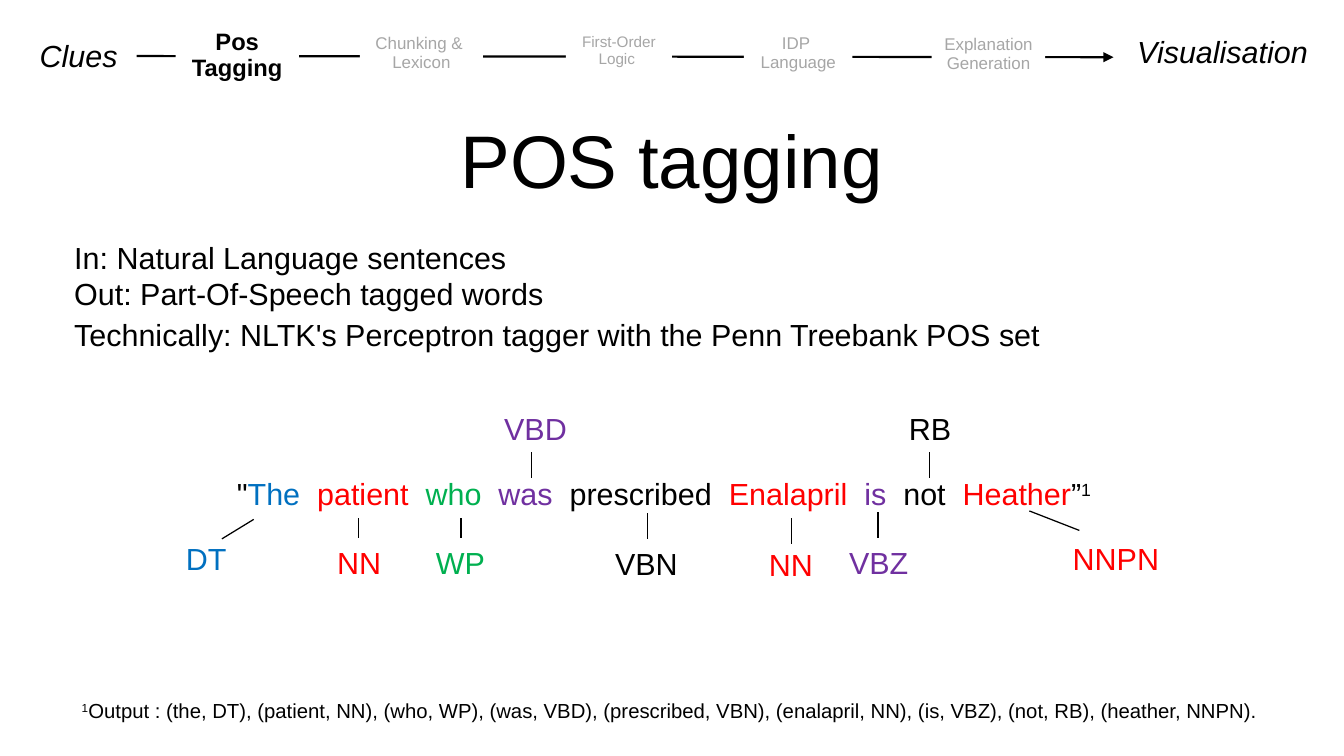
import pptx
import pptx.util
import pptx.dml.color
import pptx.enum.shapes
import pptx.enum.text
import pptx.oxml.ns
import lxml.etree

Pt = pptx.util.Pt
PP_ALIGN = pptx.enum.text.PP_ALIGN

THEME = {
    "font": "Arial",
    "black": "000000", "white": "FFFFFF", "muted": "A6A6A6",
    "blue": "0070C0", "red": "FF0000", "green": "00B050", "purple": "7030A0",
    "title": 44, "text": 18, "stage": 14, "later": 10, "note": 12,
    "spacing": 0.93, "indent": 8.64,
}


def write(sp, box, paragraphs, size, align=PP_ALIGN.LEFT, wrap=True, spacing=1.0, indent=0):
    """Place a shape and fill it with paragraphs of (text, colour, font options) runs."""
    sp.left, sp.top, sp.width, sp.height = [Pt(v) for v in box]
    tf = sp.text_frame
    tf.word_wrap = wrap
    tf.auto_size = pptx.enum.text.MSO_AUTO_SIZE.NONE
    tf.vertical_anchor = pptx.enum.text.MSO_ANCHOR.TOP
    for i, runs in enumerate(paragraphs):
        p = tf.paragraphs[0] if i == 0 else tf.add_paragraph()
        p.alignment = align
        p.line_spacing = spacing
        p.space_before = Pt(0)
        pPr = p._p.get_or_add_pPr()
        pPr.set("marL", str(Pt(indent)))
        pPr.set("indent", "0")
        lxml.etree.SubElement(pPr, pptx.oxml.ns.qn("a:buNone"))
        for text, colour, options in runs:
            r = p.add_run()
            r.text = text
            r.font.name = THEME["font"]
            r.font.size = Pt(size)
            r.font.color.rgb = pptx.dml.color.RGBColor.from_string(THEME[colour])
            for name, value in options.items():
                r._r.get_or_add_rPr().set(name, value)
    return tf


def line(shapes, ends, width):
    """Draw a plain black line without shadow and return its a:ln element."""
    x1, y1, x2, y2 = [Pt(v) for v in ends]
    c = shapes.add_connector(pptx.enum.shapes.MSO_CONNECTOR.STRAIGHT, x1, y1, x2, y2)
    c.line.color.rgb = pptx.dml.color.RGBColor.from_string(THEME["black"])
    c.line.width = Pt(width)
    lxml.etree.SubElement(c._element.spPr, pptx.oxml.ns.qn("a:effectLst"))
    return c.line._get_or_add_ln()


prs = pptx.Presentation()
prs.slide_width, prs.slide_height = Pt(793.44), Pt(446.4)
s = prs.slides.add_slide(prs.slide_layouts[1])

# Title and footnote
title = s.shapes.title
tf = write(title, (39.6, 58.3, 714.2, 74.2), [[("POS tagging", "black", {})]],
           THEME["title"], PP_ALIGN.CENTER, spacing=THEME["spacing"])
tf.vertical_anchor = pptx.enum.text.MSO_ANCHOR.MIDDLE
tf.margin_left = tf.margin_right = tf.margin_bottom = 0
tf.margin_top = Pt(2.9)

superscript = {"baseline": "30000"}
tagged = [("the", "DT"), ("patient", "NN"), ("who", "WP"), ("was", "VBD"),
          ("prescribed", "VBN"), ("enalapril", "NN"), ("is", "VBZ"),
          ("not", "RB"), ("heather", "NNPN")]
output = ", ".join(f"({word}, {tag})" for word, tag in tagged)
tf = write(s.placeholders[1], (39.6, 411.1, 714.2, 21.6),
           [[("1", "black", superscript), (f"Output : {output}.", "black", {})]],
           THEME["note"], spacing=THEME["spacing"], indent=THEME["indent"])
tf.margin_left = tf.margin_right = tf.margin_bottom = 0
tf.margin_top = Pt(2.2)

# Pipeline: the arrow runs behind white stage boxes
ln = line(s.shapes, (80.6, 33.1, 657.4, 33.8), 1.25)
lxml.etree.SubElement(ln, pptx.oxml.ns.qn("a:tailEnd"), type="triangle")

bold, italic = {"b": "1"}, {"i": "1"}
stages = [
    (("Pos", "Tagging"), (103.7, 13.7, 72.7, 38.9), THEME["stage"], "black", bold),
    (("Chunking & ", "Lexicon"), (212.4, 16.6, 72.7, 29.5), THEME["later"], "muted", {}),
    (("First-Order", "Logic "), (334.1, 16.6, 62.6, 27.4), THEME["later"] - 1, "muted", {}),
    (("IDP ", "Language"), (439.2, 16.6, 64.1, 29.5), THEME["later"], "muted", {}),
    (("Explanation", "Generation"), (550.1, 17.3, 67, 29.5), THEME["later"], "muted", {}),
]
for lines, box, size, colour, options in stages:
    sp = s.shapes.add_shape(pptx.enum.shapes.MSO_SHAPE.RECTANGLE, 0, 0, 0, 0)
    sp.shadow.inherit = False
    sp.fill.solid()
    sp.fill.fore_color.rgb = pptx.dml.color.RGBColor.from_string(THEME["white"])
    sp.line.fill.background()
    write(sp, box, [[(text, colour, options)] for text in lines], size,
          PP_ALIGN.CENTER, wrap=False, spacing=THEME["spacing"])

for text, box in [("Visualisation", (663.8, 18, 115.9, 27.4)),
                  ("Clues", (15.1, 20.2, 62.6, 27.4))]:
    write(s.shapes.add_textbox(0, 0, 0, 0), box, [[(text, "black", italic)]],
          THEME["text"], PP_ALIGN.CENTER, wrap=False, spacing=THEME["spacing"])

# Description
for lines, box in [
    (("In: Natural Language sentences", "Out: Part-Of-Speech tagged words"),
     (28.1, 137.5, 396.7, 51.1)),
    (("Technically: NLTK's Perceptron tagger with the Penn Treebank POS set",),
     (28.1, 182.9, 629.3, 28.8)),
]:
    write(s.shapes.add_textbox(0, 0, 0, 0), box, [[(text, "black", {})] for text in lines],
          THEME["text"], indent=THEME["indent"])

# Tagged sentence: word, tag, colour, tag centre and top, connector ends
example = s.shapes.add_group_shape().shapes
words = [
    ("The", "DT", "blue", 121.7, 315.4, (149.8, 306.7, 131, 318.2)),
    ("patient", "NN", "red", 212, 317.5, (211.7, 306, 211.7, 317.5)),
    ("who", "WP", "green", 271.8, 317.5, (272.2, 306, 272.2, 317.5)),
    ("was", "VBD", "purple", 316.1, 238.3, (313.9, 282.2, 313.9, 267.1)),
    ("prescribed", "VBN", "black", 381.6, 318.2, (382.3, 318.2, 382.3, 303.1)),
    ("Enalapril", "NN", "red", 466.9, 319, (467.3, 321.1, 467.3, 306)),
    ("is", "VBZ", "purple", 518.8, 317.5, (518.4, 317.5, 518.4, 302.4)),
    ("not", "RB", "black", 549, 238.3, (548.6, 282.2, 548.6, 267.1)),
    ("Heather", "NNPN", "red", 658.8, 315.4, (637.2, 313.2, 607.7, 301.7)),
]
tag_widths = {"DT": 38.9, "NN": 41, "WP": 43.9, "VBD": 51.8, "VBN": 51.8,
              "VBZ": 49.7, "RB": 39.6, "NNPN": 66.2}
wide_space = (" ", "black", {"spc": "500"})
sentence = [('"', "black", {})]
for i, (word, tag, colour, centre, top, ends) in enumerate(words):
    if i:
        sentence.append(wide_space)
    sentence.append((word, colour, {}))
sentence += [("”", "black", {}), ("1", "black", superscript)]
write(example.add_textbox(0, 0, 0, 0), (102.2, 277.2, 571, 28.8), [sentence],
      THEME["text"], PP_ALIGN.CENTER, indent=THEME["indent"])

for word, tag, colour, centre, top, ends in words:
    width = tag_widths[tag]
    write(example.add_textbox(0, 0, 0, 0), (centre - width / 2, top, width, 28.8),
          [[(tag, colour, {})]], THEME["text"], PP_ALIGN.CENTER, wrap=False)
    line(example, ends, 0.75)

prs.save("out.pptx")
